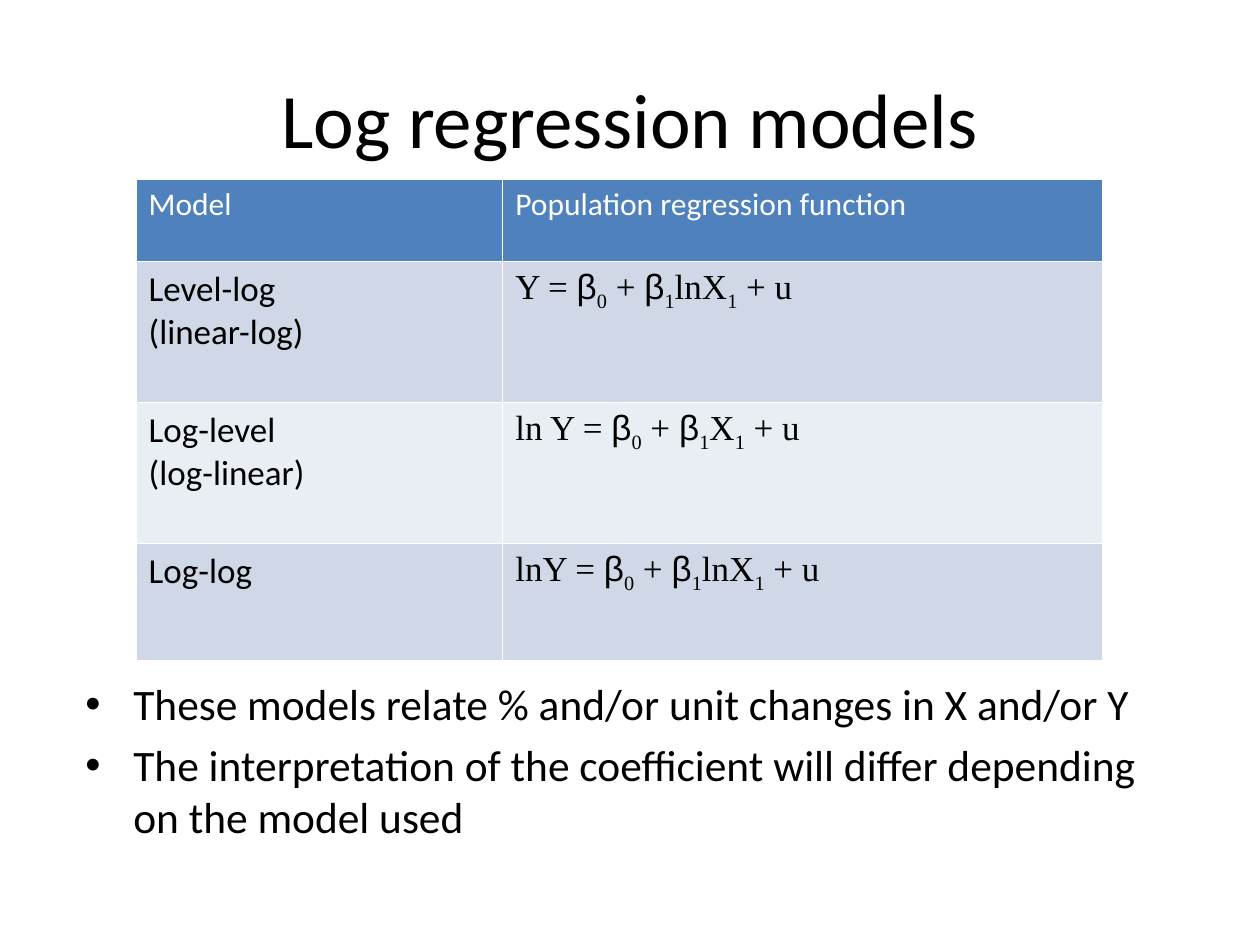
from typing import NamedTuple

from lxml.etree import SubElement as Sub
from pptx import Presentation as Deck
from pptx.dml.color import RGBColor as Color
from pptx.enum.text import MSO_ANCHOR as Anchor, PP_ALIGN as Align
from pptx.oxml.ns import qn
from pptx.util import Emu, Inches, Pt

WIDE, HIGH = Inches(10), Inches(7.5)
SANS, SERIF, GREEK = "Calibri", "Times New Roman", "Arial"
BLACK, WHITE = "000000", "FFFFFF"
HEAD, BANDS = "4F81BD", ("D0D8E8", "E9EDF4")
COLS, ROWS = (2.91, 4.76), (0.65, 1.12, 1.12, 0.93)


class Box(NamedTuple):
    x: float
    y: float
    w: float
    h: float

    def size(self) -> tuple:
        return (Emu(int(self.x * WIDE)), Emu(int(self.y * HIGH)),
                Emu(int(self.w * WIDE)), Emu(int(self.h * HIGH)))


class Model(NamedTuple):
    name: str
    left: str
    right: str


MODELS = (
    Model("Level-log\n(linear-log)", "Y", "lnX"),
    Model("Log-level\n(log-linear)", "ln Y", "X"),
    Model("Log-log", "lnY", "lnX"),
)
POINTS = (
    "These models relate % and/or unit changes in X and/or Y",
    "The interpretation of the coefficient will differ depending on the model used",
)


def paint(hue: str) -> Color:
    return Color.from_string(hue)


def style(run, size: float, face: str = SANS, hue: str = BLACK) -> None:
    run.font.size = Pt(size)
    run.font.name = face
    run.font.bold = False
    run.font.color.rgb = paint(hue)


def dress(frame, size: float, hue: str = BLACK) -> None:
    for para in frame.paragraphs:
        for run in para.runs:
            style(run, size, hue=hue)


def fill(cell, hue: str) -> None:
    cell.fill.solid()
    cell.fill.fore_color.rgb = paint(hue)


def label(cell, text: str, size: float, hue: str) -> None:
    cell.text_frame.text = text
    dress(cell.text_frame, size, hue)


def formula(para, model: Model) -> None:
    parts = (f"{model.left} = ", "β", "0", " + ", "β", "1",
             model.right, "1", " + u")
    for part in parts:
        run = para.add_run()
        run.text = part
        style(run, 20, GREEK if part == "β" else SERIF)
        if part.isdigit():
            run.font._element.set("baseline", "-25000")


def title(slide, box: Box, text: str) -> None:
    shape = slide.shapes.title
    shape.left, shape.top, shape.width, shape.height = box.size()
    frame = shape.text_frame
    frame.text = text
    frame.vertical_anchor = Anchor.MIDDLE
    frame.paragraphs[0].alignment = Align.CENTER
    dress(frame, 44)


def table(slide, box: Box) -> None:
    grid = slide.shapes.add_table(len(ROWS), len(COLS), *box.size()).table
    for col, width in zip(grid.columns, COLS):
        col.width = Inches(width)
    for row, height in zip(grid.rows, ROWS):
        row.height = Inches(height)
    for i, text in enumerate(("Model", "Population regression function")):
        fill(grid.cell(0, i), HEAD)
        label(grid.cell(0, i), text, 18, WHITE)
    for i, model in enumerate(MODELS):
        name, rule = grid.cell(i + 1, 0), grid.cell(i + 1, 1)
        for cell in (name, rule):
            fill(cell, BANDS[i % 2])
        label(name, model.name, 20, BLACK)
        formula(rule.text_frame.paragraphs[0], model)


def bullets(slide, box: Box, points: tuple[str, ...]) -> None:
    frame = slide.shapes.add_textbox(*box.size()).text_frame
    frame.word_wrap = True
    frame.text = "\n".join(points)
    dress(frame, 24.8)
    for para in frame.paragraphs:
        para.space_before = Pt(5)
        props = para._p.get_or_add_pPr()
        props.set("marL", str(Inches(0.38)))
        props.set("indent", str(-Inches(0.38)))
        Sub(props, qn("a:buFont"), typeface=GREEK)
        Sub(props, qn("a:buChar"), char="•")


def main() -> None:
    deck = Deck()
    deck.slide_width, deck.slide_height = WIDE, HIGH
    slide = deck.slides.add_slide(deck.slide_layouts[5])
    title(slide, Box(0.05, 0.04, 0.9, 0.17), "Log regression models")
    bullets(slide, Box(0.058, 0.71, 0.892, 0.18), POINTS)
    table(slide, Box(0.108, 0.19, 0.767, 0.51))
    deck.save("out.pptx")


if __name__ == "__main__":
    main()
